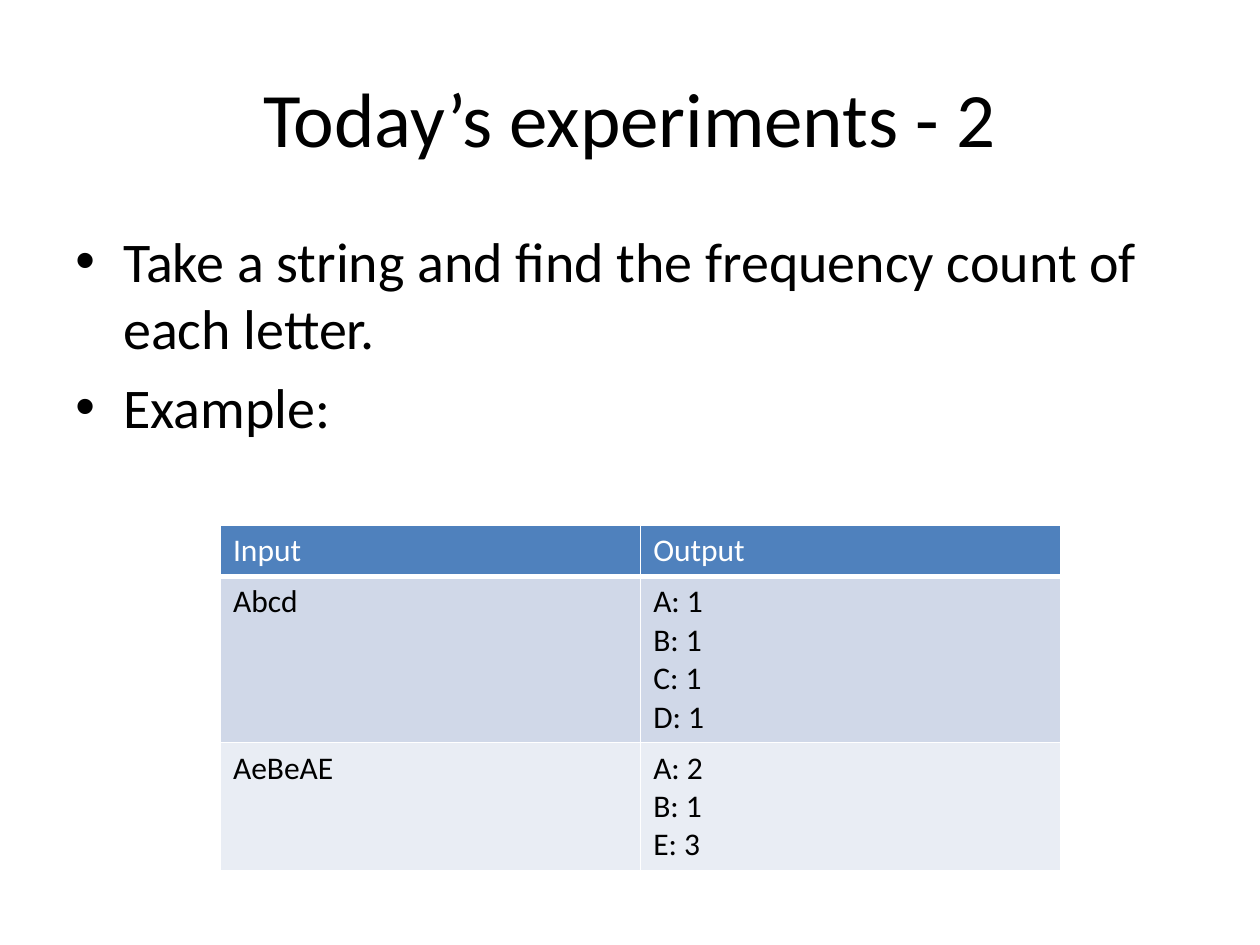
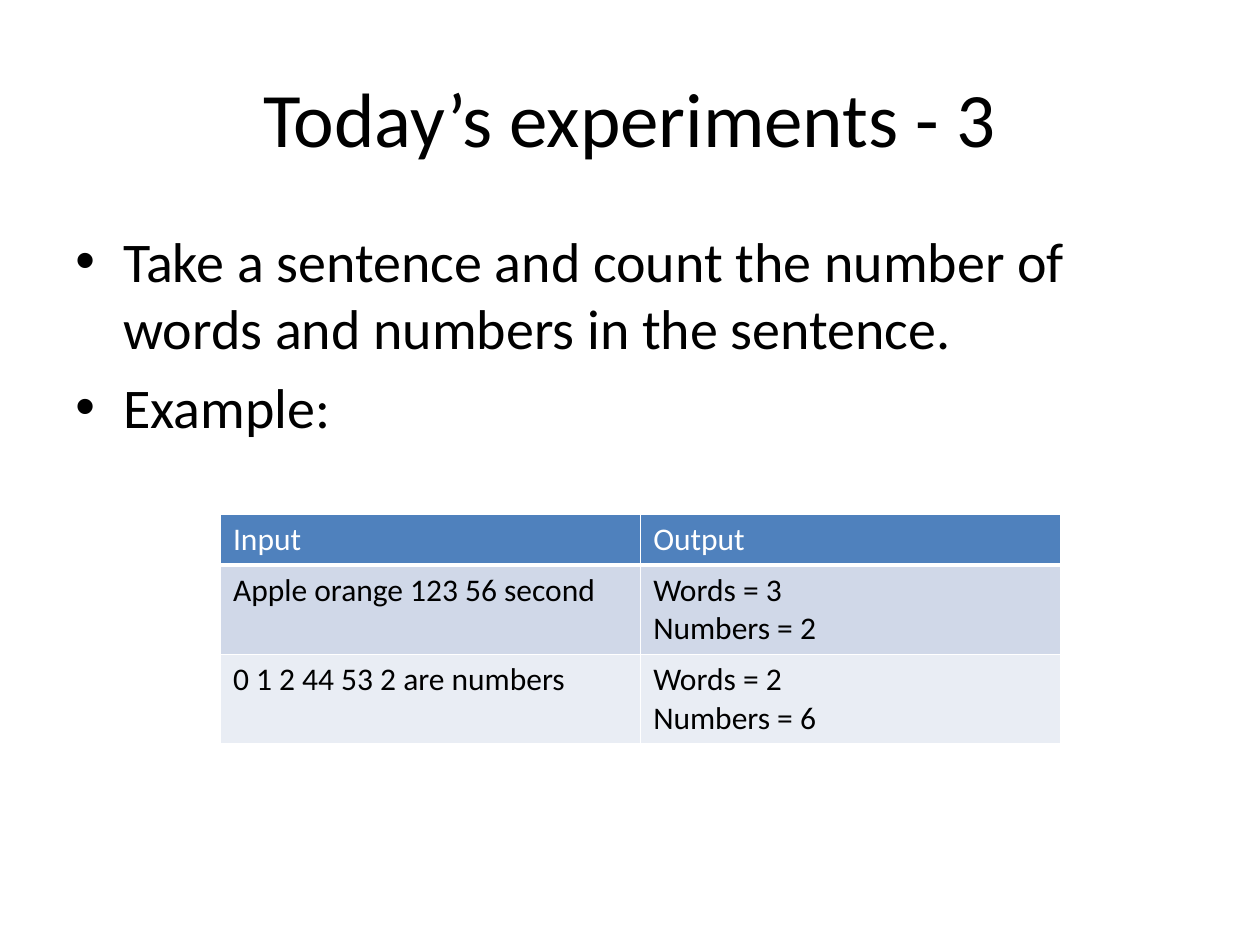
from lxml.etree import SubElement
from pptx import Presentation
from pptx.dml.color import RGBColor as Color
from pptx.enum.text import MSO_ANCHOR as Anchor, PP_ALIGN as Align
from pptx.oxml.ns import qn
from pptx.util import Inches, Pt

EXPERIMENTS = [
    {
        "title": "Today’s experiments - 2",
        "bullets": ["Take a string and find the frequency count of each letter.", "Example:"],
        "table_top": 4.17,
        "examples": [
            ("Abcd", ["A: 1", "B: 1", "C: 1", "D: 1"]),
            ("AeBeAE", ["A: 2", "B: 1", "E: 3"]),
        ],
    },
    {
        "title": "Today’s experiments - 3",
        "bullets": [
            "Take a sentence and count the number of words and numbers in the sentence.",
            "Example:",
        ],
        "table_top": 4.08,
        "examples": [
            ("Apple orange 123 56 second", ["Words = 3", "Numbers = 2"]),
            ("0 1 2 44 53 2 are numbers", ["Words = 2", "Numbers = 6"]),
        ],
    },
]
HEADER = ("Input", ["Output"])
COLORS = {"text": "000000", "paper": "FFFFFF", "header": "4F81BD",
          "band_dark": "D0D8E8", "band_light": "E9EDF4"}
ROW_FILLS = ["header", "band_dark", "band_light"]
FONT = "Calibri"
TITLE_SIZE, BODY_SIZE, CELL_SIZE = 44, 32, 18
LEFT, WIDTH = 0.5, 9
TABLE_LEFT, TABLE_WIDTH = 1.75, 6.67
LINE_HEIGHT, CELL_PADDING = 0.305, 0.1


def add_span(para, text, size, color="text"):
    span = para.add_run()
    span.text = text
    span.font.name = FONT
    span.font.size = Pt(size)
    span.font.bold = False
    span.font.color.rgb = Color.from_string(COLORS[color])


def paragraphs(frame, count):
    return [frame.paragraphs[0]] + [frame.add_paragraph() for _ in range(count - 1)]


def add_frame(page, top, height, anchor):
    box = page.shapes.add_textbox(Inches(LEFT), Inches(top), Inches(WIDTH), Inches(height))
    frame = box.text_frame
    frame.word_wrap = True
    frame.vertical_anchor = anchor
    return frame


def add_title(page, text):
    para = add_frame(page, 0.3, 1.25, Anchor.MIDDLE).paragraphs[0]
    para.alignment = Align.CENTER
    add_span(para, text, TITLE_SIZE)


def add_bullets(page, bullets):
    frame = add_frame(page, 1.75, 4.95, Anchor.TOP)
    for para, text in zip(paragraphs(frame, len(bullets)), bullets):
        para.space_before = Pt(BODY_SIZE * 0.2)
        props = para._p.get_or_add_pPr()
        props.set("marL", str(Inches(0.38)))
        props.set("indent", str(-Inches(0.38)))
        SubElement(props, qn("a:buFont"), typeface="Arial")
        SubElement(props, qn("a:buChar"), char="•")
        add_span(para, text, BODY_SIZE)


def add_borders(cell, widths):
    props = cell._tc.get_or_add_tcPr()
    for side, width in widths.items():
        line = SubElement(props, qn(f"a:ln{side}"), w=str(Pt(width)))
        fill = SubElement(line, qn("a:solidFill"))
        SubElement(fill, qn("a:srgbClr"), val=COLORS["paper"])


def add_examples(page, top, examples):
    rows = [HEADER] + examples
    heights = [CELL_PADDING + LINE_HEIGHT * len(output) for _, output in rows]
    table = page.shapes.add_table(
        len(rows), 2, Inches(TABLE_LEFT), Inches(top), Inches(TABLE_WIDTH), Inches(sum(heights))
    ).table
    table.horz_banding = False
    for index, (given, output) in enumerate(rows):
        table.rows[index].height = Inches(heights[index])
        color = "paper" if index == 0 else "text"
        widths = {"L": 1, "R": 1, "T": 3 if index == 1 else 1, "B": 3 if index == 0 else 1}
        for cell, lines in zip(table.rows[index].cells, ([given], output)):
            add_borders(cell, widths)
            cell.fill.solid()
            cell.fill.fore_color.rgb = Color.from_string(COLORS[ROW_FILLS[index]])
            for para, text in zip(paragraphs(cell.text_frame, len(lines)), lines):
                add_span(para, text, CELL_SIZE, color)


deck = Presentation()
deck.slide_width, deck.slide_height = Inches(10), Inches(7.5)
for experiment in EXPERIMENTS:
    page = deck.slides.add_slide(deck.slide_layouts[6])
    add_title(page, experiment["title"])
    add_bullets(page, experiment["bullets"])
    add_examples(page, experiment["table_top"], experiment["examples"])
deck.save("out.pptx")
